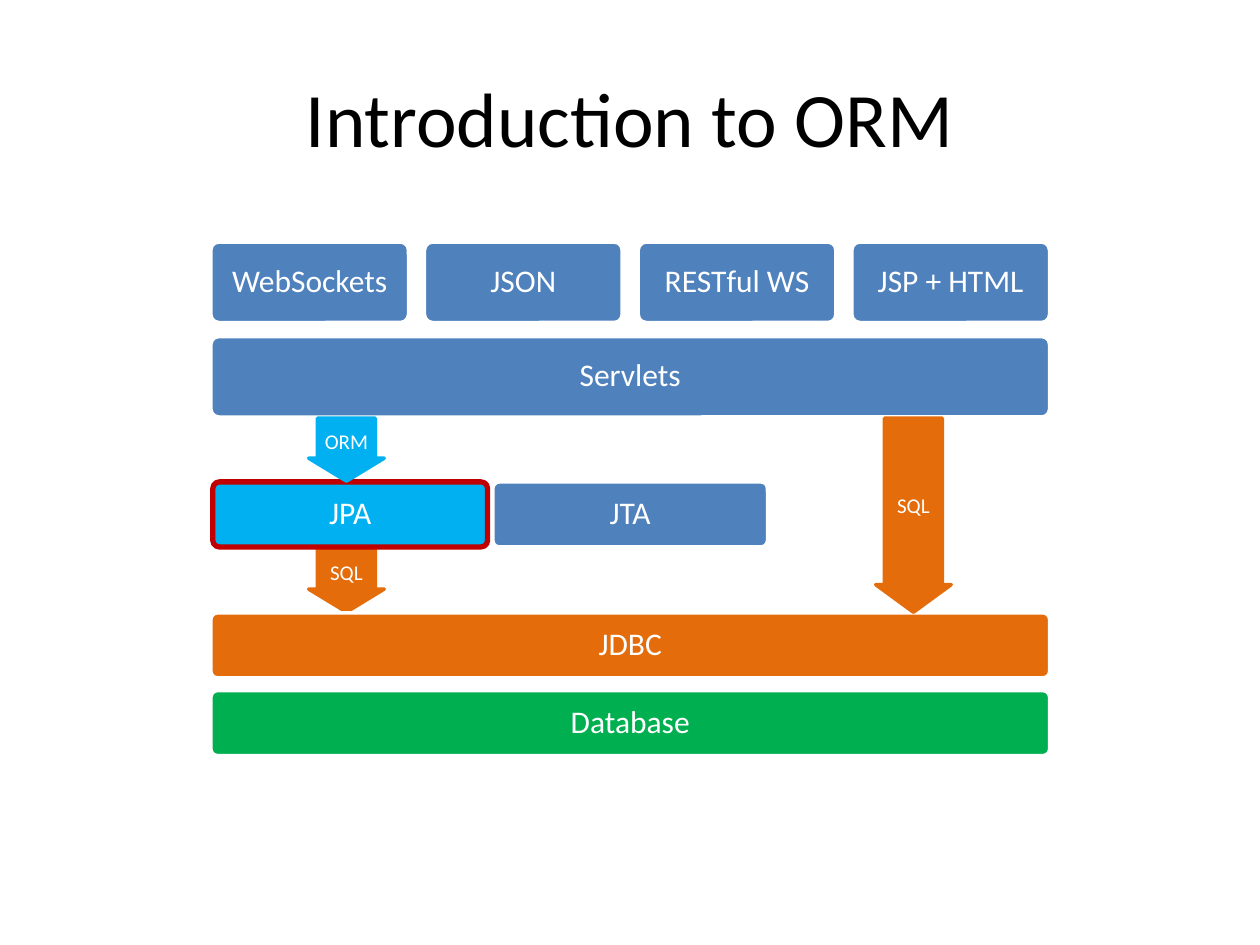
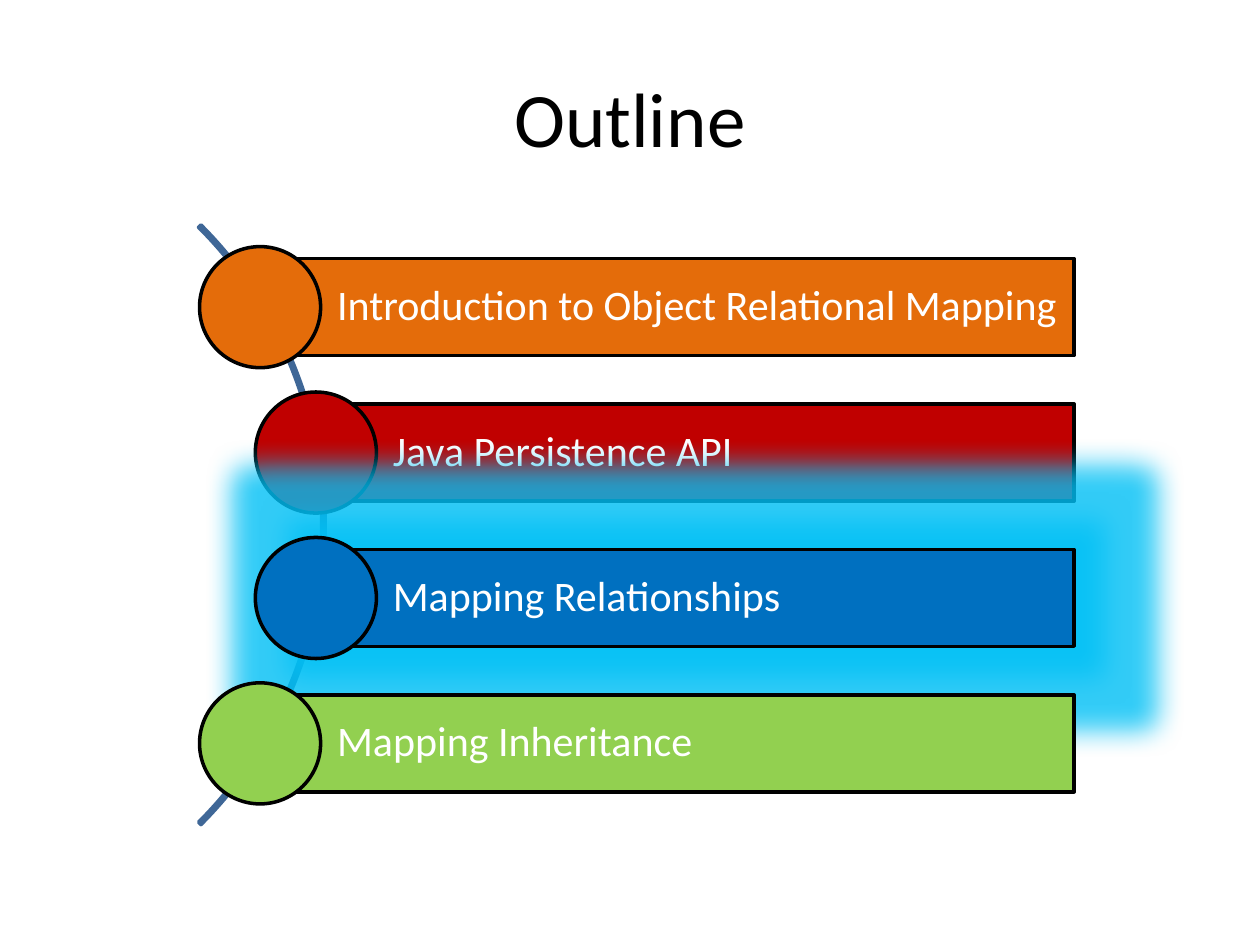
from dataclasses import dataclass

from lxml.etree import SubElement
from pptx import Presentation
from pptx.dml.color import RGBColor
from pptx.enum.shapes import MSO_SHAPE
from pptx.enum.text import MSO_ANCHOR, PP_ALIGN
from pptx.oxml.ns import qn
from pptx.util import Pt

FONT = "Calibri"
BLACK = RGBColor(0x00, 0x00, 0x00)
WHITE = RGBColor(0xFF, 0xFF, 0xFF)
BLUE = RGBColor(0x4F, 0x81, 0xBD)
SKY = RGBColor(0x00, 0xB0, 0xF0)
ORANGE = RGBColor(0xE4, 0x6C, 0x0A)
GREEN = RGBColor(0x00, 0xB0, 0x50)
RED = RGBColor(0xC0, 0x00, 0x00)
DEEP_BLUE = RGBColor(0x00, 0x70, 0xC0)
LIME = RGBColor(0x92, 0xD0, 0x50)
ARC_BLUE = RGBColor(0x3F, 0x67, 0x97)
GLOW = RGBColor(0x00, 0xC0, 0xF5)

STACK_LEFT, STACK_WIDTH = 120.5, 479.3
API_WIDTH, API_PITCH = 113, 122.1
SERVICE_WIDTH, SERVICE_PITCH = 157, 160
BAR_TOP, BAR_PITCH, BAR_HEIGHT, BAR_RIGHT = 147.8, 83.1, 55.4, 613.8
DOT = 69.2


@dataclass
class Layer:
    text: str
    left: float
    top: float
    width: float
    height: float
    fill: RGBColor = BLUE
    line: RGBColor = WHITE
    line_width: float = 2


@dataclass
class Arrow:
    text: str
    left: float
    top: float
    height: float
    fill: RGBColor


@dataclass
class Topic:
    text: str
    left: float
    fill: RGBColor
    glow: bool = False


def add_text(tf, text: str, *, size: float, color=WHITE, align=PP_ALIGN.CENTER,
             margins=(5, 5, 5, 5), spacing: float = 1) -> None:
    tf.word_wrap = True
    tf.vertical_anchor = MSO_ANCHOR.MIDDLE
    tf.margin_left, tf.margin_top, tf.margin_right, tf.margin_bottom = map(Pt, margins)
    p = tf.paragraphs[0]
    p.alignment = align
    p.line_spacing = spacing
    r = p.add_run()
    r.text = text
    r.font.name = FONT
    r.font.size = Pt(size)
    r.font.color.rgb = color


def add_shape(s, kind, left: float, top: float, width: float, height: float, *,
              line: RGBColor, fill=None, line_width: float = 2, adjustments=()):
    sp = s.shapes.add_shape(kind, Pt(left), Pt(top), Pt(width), Pt(height))
    sp.shadow.inherit = False
    if fill is None:
        sp.fill.background()
    else:
        sp.fill.solid()
        sp.fill.fore_color.rgb = fill
    sp.line.color.rgb = line
    sp.line.width = Pt(line_width)
    for i, value in enumerate(adjustments):
        sp.adjustments[i] = value
    return sp


def add_glow(sp, color: RGBColor, radius: float) -> None:
    effects = sp._element.spPr.find(qn("a:effectLst"))
    glow = SubElement(effects, qn("a:glow"), rad=str(Pt(radius)))
    clr = SubElement(glow, qn("a:srgbClr"), val=str(color))
    SubElement(clr, qn("a:alpha"), val="80000")


def add_slide(prs, title: str):
    s = prs.slides.add_slide(prs.slide_layouts[6])
    tb = s.shapes.add_textbox(Pt(36), Pt(21.6), Pt(648), Pt(90))
    add_text(tb.text_frame, title, size=44, color=BLACK)
    return s


def add_layer(s, layer: Layer) -> None:
    sp = add_shape(s, MSO_SHAPE.ROUNDED_RECTANGLE, layer.left, layer.top, layer.width,
                   layer.height, fill=layer.fill, line=layer.line,
                   line_width=layer.line_width, adjustments=(0.1,))
    add_text(sp.text_frame, layer.text, size=18, spacing=0.9)


def add_arrow(s, arrow: Arrow) -> None:
    sp = add_shape(s, MSO_SHAPE.DOWN_ARROW, arrow.left, arrow.top, 43.2, arrow.height,
                   fill=arrow.fill, line=arrow.fill, adjustments=(0.767, 0.365))
    add_text(sp.text_frame, arrow.text, size=12, margins=(0, 0, 0, 0))


def add_topic(s, topic: Topic, top: float) -> None:
    bar = add_shape(s, MSO_SHAPE.RECTANGLE, topic.left, top, BAR_RIGHT - topic.left,
                    BAR_HEIGHT, fill=topic.fill, line=BLACK)
    add_text(bar.text_frame, topic.text, size=24, align=PP_ALIGN.LEFT,
             margins=(44, 5, 5, 5), spacing=0.9)
    if topic.glow:
        add_glow(bar, GLOW, 32)
    add_shape(s, MSO_SHAPE.OVAL, topic.left - DOT / 2, top + (BAR_HEIGHT - DOT) / 2,
              DOT, DOT, fill=topic.fill, line=BLACK)


def build_stack(prs) -> None:
    s = add_slide(prs, "Introduction to ORM")
    add_arrow(s, Arrow("SQL", 176.4, 313.8, 36, ORANGE))
    layers = [
        Layer("Database", STACK_LEFT, 394.6, STACK_WIDTH, 37.2, GREEN),
        Layer("JDBC", STACK_LEFT, 350.2, STACK_WIDTH, 37.2, ORANGE),
        Layer("JPA", 121.6, 275.4, SERVICE_WIDTH, 37.2, SKY, RED, 3),
        Layer("JTA", 121.6 + SERVICE_PITCH, 275.4, SERVICE_WIDTH, 37.2),
        Layer("Servlets", STACK_LEFT, 192.3, STACK_WIDTH, 46),
    ]
    apis = ["WebSockets", "JSON", "RESTful WS", "JSP + HTML"]
    layers += [Layer(api, STACK_LEFT + i * API_PITCH, 138.3, API_WIDTH, 46)
               for i, api in enumerate(apis)]
    for layer in layers:
        add_layer(s, layer)
    add_arrow(s, Arrow("ORM", 176.4, 239, 36, SKY))
    add_arrow(s, Arrow("SQL", 500.4, 239, 110.9, ORANGE))


def build_outline(prs) -> None:
    s = add_slide(prs, "Outline")
    add_shape(s, MSO_SHAPE.BLOCK_ARC, -298.8, 57.6, 484.6, 484.6, line=ARC_BLUE,
              adjustments=(189, 27, 0.004))
    topics = [
        Topic("Introduction to Object Relational Mapping", 148.6, ORANGE),
        Topic("Java Persistence API", 180.5, RED),
        Topic("Mapping Relationships", 180.5, DEEP_BLUE, glow=True),
        Topic("Mapping Inheritance", 148.6, LIME),
    ]
    for i, topic in enumerate(topics):
        add_topic(s, topic, BAR_TOP + i * BAR_PITCH)


def main() -> None:
    prs = Presentation()
    prs.slide_width, prs.slide_height = Pt(720), Pt(540)
    build_stack(prs)
    build_outline(prs)
    prs.save("out.pptx")


if __name__ == "__main__":
    main()
